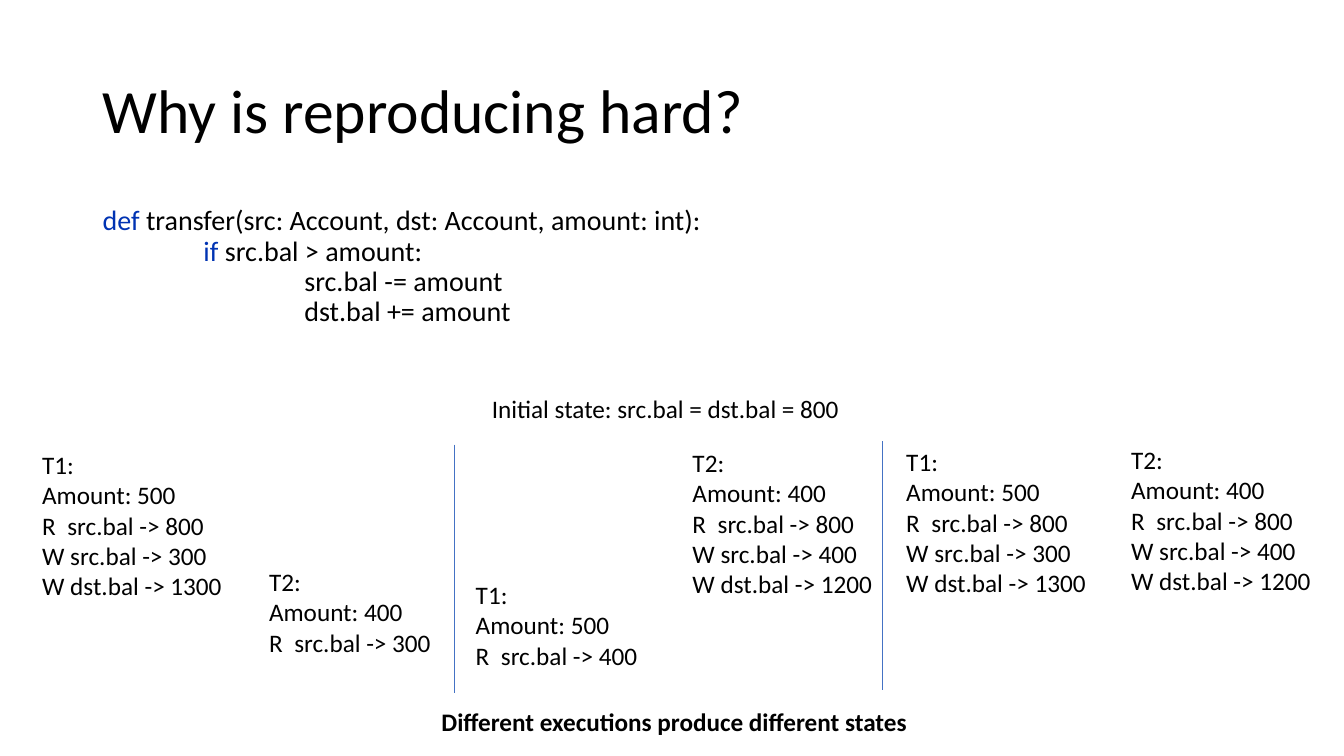
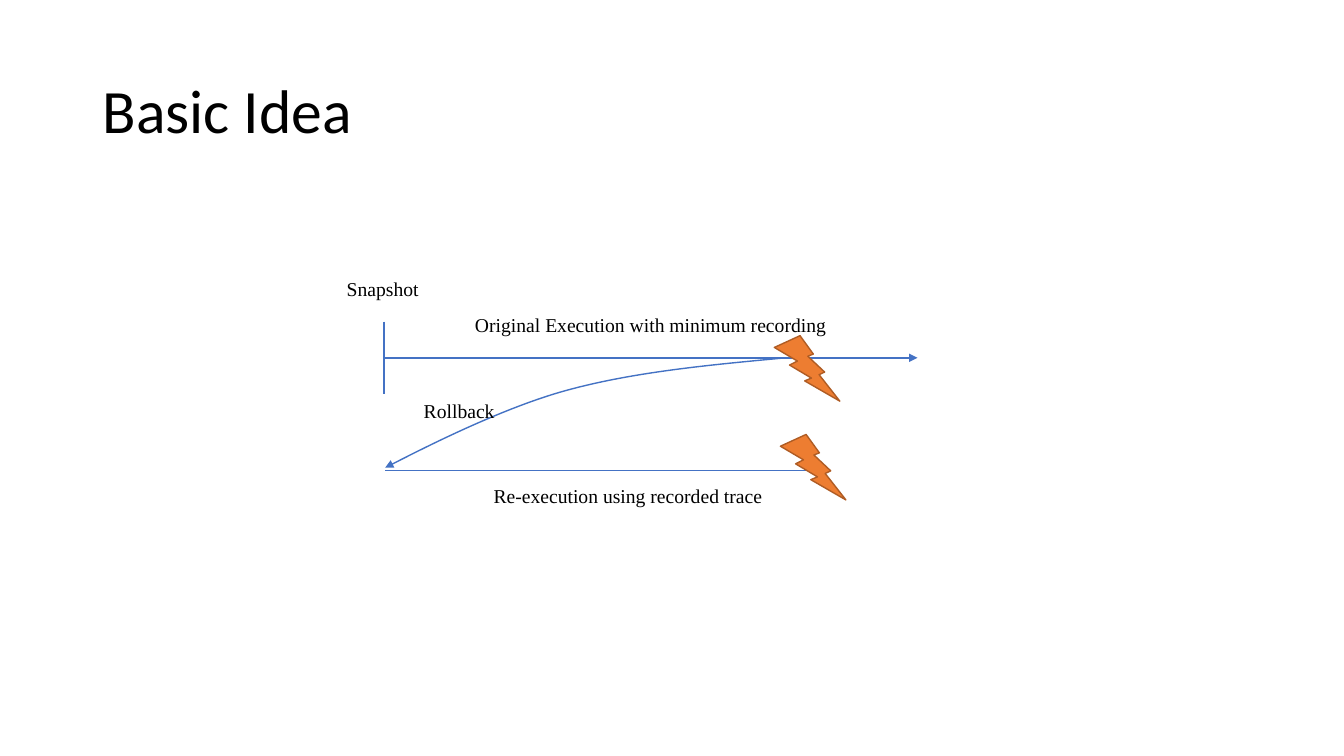
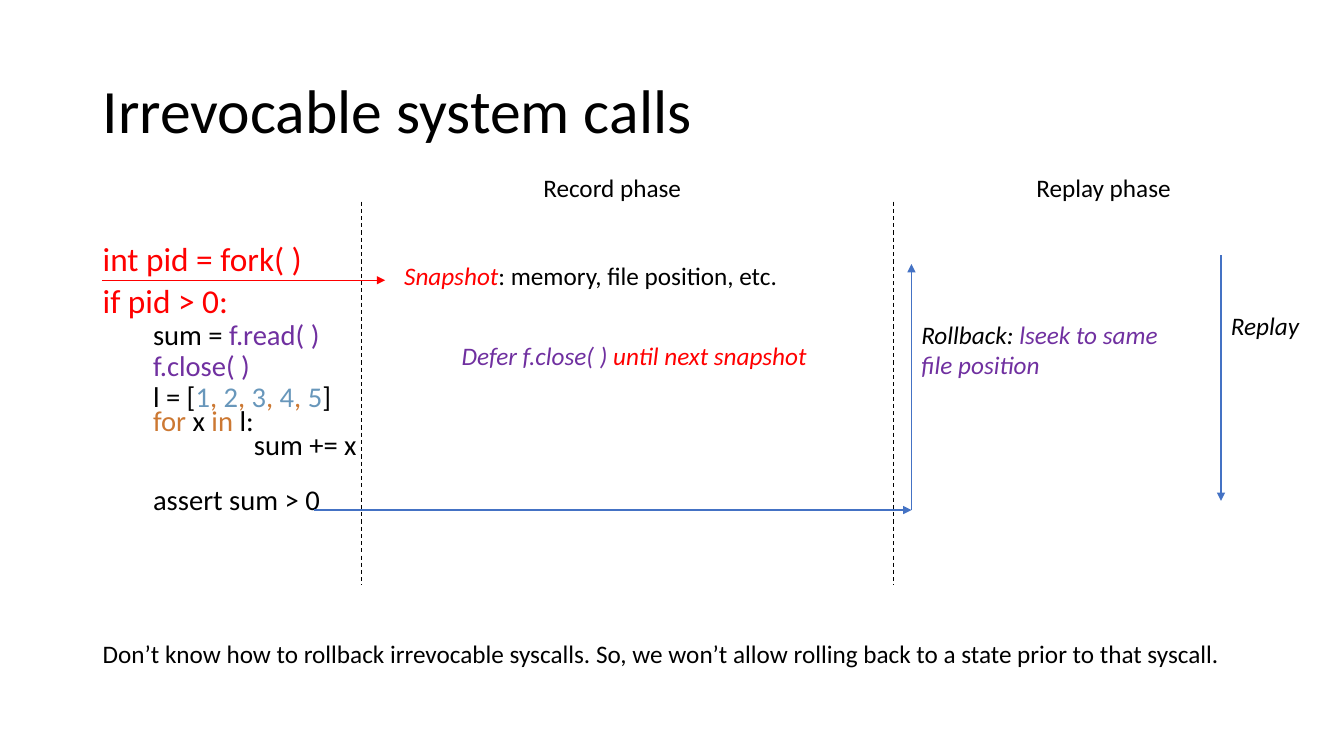
from lxml import etree
from pptx import Presentation
from pptx.dml.color import RGBColor
from pptx.enum.dml import MSO_LINE
from pptx.enum.shapes import MSO_CONNECTOR, MSO_SHAPE
from pptx.enum.text import MSO_ANCHOR, PP_ALIGN
from pptx.oxml.ns import qn
from pptx.util import Pt

PX = 9144
BLANK = 6
STRAIGHT = MSO_CONNECTOR.STRAIGHT
BOLT = MSO_SHAPE.LIGHTNING_BOLT
DASH = MSO_LINE.DASH
TOP, MIDDLE = MSO_ANCHOR.TOP, MSO_ANCHOR.MIDDLE
LEFT, CENTER = PP_ALIGN.LEFT, PP_ALIGN.CENTER

BLACK = RGBColor(0x00, 0x00, 0x00)
BLUE = RGBColor(0x44, 0x72, 0xC4)
RED = RGBColor(0xFF, 0x00, 0x00)
PURPLE = RGBColor(0x70, 0x30, 0xA0)
ORANGE = RGBColor(0xED, 0x7D, 0x31)
BROWN = RGBColor(0xAF, 0x5C, 0x24)
KEYWORD_BLUE = RGBColor(0x00, 0x33, 0xB3)
KEYWORD_ORANGE = RGBColor(0xCC, 0x78, 0x32)
NUMBER_BLUE = RGBColor(0x68, 0x97, 0xBB)

SANS, SERIF = "Calibri", "Times New Roman"
TITLE_BOX = (92, 40, 1150, 145)
TEXT_DEFAULTS = dict(
    font=SANS, size=18, color=BLACK, bold=False, italic=False, align=LEFT,
    anchor=TOP, wrap=False, insets=(10, 5, 10, 5), spacing=1.0, before=0,
    indent=0, tab=0,
)

TRANSFER_CODE = [
    [("def ", {"color": KEYWORD_BLUE}), "transfer(src: Account, dst: Account, amount: int):"],
    {"spans": [("if ", {"color": KEYWORD_BLUE}), "src.bal > amount:"], "indent": 100},
    {"spans": ["src.bal -= amount"], "indent": 200},
    {"spans": ["dst.bal += amount"], "indent": 200},
]
INITIAL_BALANCE = 800
AMOUNTS = {"T1": 500, "T2": 400}
THREAD_RUNS = [
    ("T1", 800, 32, 441),
    ("T2", 300, 257, 557),
    ("T1", 400, 462, 570),
    ("T2", 800, 677, 439),
    ("T1", 800, 889, 438),
    ("T2", 800, 1112, 436),
]
RUN_DIVIDERS = [(451, 441), (875, 438)]
RUN_CAPTIONS = [
    ("Initial state: src.bal = dst.bal = 800", (478, 385, 377, 40), False),
    ("Different executions produce different states", (428, 696, 487, 40), True),
]

TIMELINE_LABELS = [
    ("Snapshot", (297, 253, 165, 67), (0, 0, 0, 0)),
    ("Original Execution with minimum recording", (381, 296, 529, 56), (0, 2, 0, 5)),
    ("Rollback", (359, 382, 193, 53), (0, 2, 0, 5)),
    ("Re-execution using recorded trace", (446, 465, 354, 56), (0, 2, 0, 5)),
]
TIMELINE_LINES = [
    ((381, 355), (910, 355), True),
    ((382, 467), (823, 467), True),
    ((381, 319), (381, 391), False),
]
ROLLBACK_CURVE = [(779, 355), (704, 362), (629, 369), (563, 387),
                  (496, 405), (382, 464), (382, 464)]
BOLT_SIZE = 65
BOLTS = [(768, 333), (774, 431)]

BIG, SMALL = 23.8, 20.4
LIST_SPANS = ["l = ["]
for number in range(1, 6):
    if number > 1:
        LIST_SPANS.append((", ", {"color": KEYWORD_ORANGE}))
    LIST_SPANS.append((str(number), {"color": NUMBER_BLUE}))
LIST_SPANS.append("]")
FORK_CODE = [
    {"spans": ["int pid = fork( )"], "size": BIG, "color": RED},
    {"spans": ["if pid > 0:"], "size": BIG, "color": RED, "before": 10},
    {"spans": ["sum = ", ("f.read( )", {"color": PURPLE})], "indent": 50, "before": 5},
    {"spans": ["f.close( )"], "color": PURPLE, "indent": 50, "before": 5},
    {"spans": LIST_SPANS, "indent": 50, "before": 5},
    {"spans": [("for ", {"color": KEYWORD_ORANGE}), "x ",
               ("in ", {"color": KEYWORD_ORANGE}), "l:"], "indent": 50},
    {"spans": ["sum += x"], "indent": 150},
    {"spans": ["assert sum > 0"], "indent": 50, "before": 22.4},
]
PHASE_NOTES = [
    (["Record phase"], (529, 166, 159, 40)),
    (["Replay phase"], (1018, 166, 155, 40)),
    ([[("Snapshot", {"color": RED, "italic": True}), ": memory, file position, etc."]],
     (391, 253, 395, 40)),
    ([{"spans": ["Rollback: ", ("lseek to same", {"color": PURPLE})], "italic": True},
      {"spans": ["file position"], "color": PURPLE, "italic": True}], (904, 312, 257, 71)),
    ([{"spans": [("Defer f.close( )", {"color": PURPLE}), " until next snapshot"],
       "color": RED, "italic": True}], (448, 333, 366, 40)),
    ([{"spans": ["Replay"], "italic": True}], (1211, 303, 88, 40)),
    (["Don’t know how to rollback irrevocable syscalls. So, we won’t allow "
      "rolling back to a state prior to that syscall."], (92, 628, 1140, 40)),
]
PHASE_ARROWS = [
    ((101, 278), (382, 278), RED),
    ((311, 506), (904, 506), BLUE),
    ((904, 506), (904, 262), BLUE),
    ((1211, 253), (1211, 497), BLUE),
]
PHASE_DIVIDERS = [359, 886]


def emu(*lengths):
    return [round(length * PX) for length in lengths]


def add_text(slide, place, paragraphs, **options):
    base = TEXT_DEFAULTS | options
    box = slide.shapes.add_textbox(*emu(*place))
    frame = box.text_frame
    frame.word_wrap = base["wrap"]
    frame.vertical_anchor = base["anchor"]
    (frame.margin_left, frame.margin_top,
     frame.margin_right, frame.margin_bottom) = emu(*base["insets"])
    for index, content in enumerate(paragraphs):
        if isinstance(content, str):
            content = [content]
        if isinstance(content, list):
            content = {"spans": content}
        style = base | content
        para = frame.add_paragraph() if index else frame.paragraphs[0]
        para.alignment = style["align"]
        para.line_spacing = style["spacing"]
        para.space_before = Pt(style["before"])
        properties = para._p.get_or_add_pPr()
        properties.set("marL", str(style["indent"] * PX))
        if style["tab"]:
            stops = etree.SubElement(properties, qn("a:tabLst"))
            etree.SubElement(stops, qn("a:tab"), pos=str(style["tab"] * PX), algn="l")
        for span in content["spans"]:
            words, changes = (span, {}) if isinstance(span, str) else span
            look = style | changes
            run = para.add_run()
            run.text = words
            run.font.name = look["font"]
            run.font.size = Pt(look["size"])
            run.font.bold = look["bold"]
            run.font.italic = look["italic"]
            run.font.color.rgb = look["color"]


def style_line(shape, color, width=1, arrow=False, dash=None):
    shape.line.color.rgb = color
    shape.line.width = Pt(width)
    if dash:
        shape.line.dash_style = dash
    if arrow:
        outline = shape._element.spPr.find(qn("a:ln"))
        etree.SubElement(outline, qn("a:tailEnd"), type="triangle")


def add_line(slide, start, end, color=BLUE, **options):
    line = slide.shapes.add_connector(STRAIGHT, *emu(*start, *end))
    style_line(line, color, **options)
    etree.SubElement(line._element.spPr, qn("a:effectLst"))


def add_curve(slide, points, color):
    builder = slide.shapes.build_freeform(*points[0], scale=PX)
    builder.add_line_segments(points[1:], close=False)
    curve = builder.convert_to_shape()
    curve.shadow.inherit = False
    curve.fill.background()
    style_line(curve, color, arrow=True)
    outline = next(curve._element.iter(qn("a:path")))
    segments = outline.findall(qn("a:lnTo"))
    for first in range(0, len(segments), 3):
        bend = etree.SubElement(outline, qn("a:cubicBezTo"))
        for segment in segments[first:first + 3]:
            bend.append(segment[0])
            outline.remove(segment)


def add_bolt(slide, left, top):
    bolt = slide.shapes.add_shape(BOLT, *emu(left, top, BOLT_SIZE, BOLT_SIZE))
    bolt.shadow.inherit = False
    bolt.fill.solid()
    bolt.fill.fore_color.rgb = ORANGE
    style_line(bolt, BROWN)


def add_page(deck, title):
    page = deck.slides.add_slide(deck.slide_layouts[BLANK])
    add_text(page, TITLE_BOX, [title], size=44, anchor=MIDDLE, wrap=True, spacing=0.9)
    return page


def trace(thread, balance):
    amount = AMOUNTS[thread]
    lines = [f"{thread}:", f"Amount: {amount}", f"R\tsrc.bal -> {balance}"]
    if balance > amount:
        lines += [f"W src.bal -> {balance - amount}",
                  f"W dst.bal -> {INITIAL_BALANCE + amount}"]
    return lines


def build_reproducing(deck):
    page = add_page(deck, "Why is reproducing hard?")
    add_text(page, (92, 200, 630, 205), TRANSFER_CODE, size=20, wrap=True, spacing=0.9)
    for thread, balance, left, top in THREAD_RUNS:
        lines = trace(thread, balance)
        width, height = (200, 162) if len(lines) == 5 else (182, 101)
        add_text(page, (left, top, width, height), lines, tab=25)
    for left, top in RUN_DIVIDERS:
        add_line(page, (left, top), (left, top + 247))
    for words, place, bold in RUN_CAPTIONS:
        add_text(page, place, [words], bold=bold)


def build_idea(deck):
    page = add_page(deck, "Basic Idea")
    for start, end, arrow in TIMELINE_LINES:
        add_line(page, start, end, arrow=arrow)
    add_curve(page, ROLLBACK_CURVE, BLUE)
    for words, place, insets in TIMELINE_LABELS:
        add_text(page, place, [words], font=SERIF, size=14, align=CENTER,
                 anchor=MIDDLE, wrap=True, insets=insets)
    for left, top in BOLTS:
        add_bolt(page, left, top)


def build_system_calls(deck):
    page = add_page(deck, "Irrevocable system calls")
    add_text(page, (92, 242, 306, 299), FORK_CODE, size=SMALL, wrap=True, spacing=0.7)
    for start, end, color in PHASE_ARROWS:
        add_line(page, start, end, color, arrow=True)
    for left in PHASE_DIVIDERS:
        add_line(page, (left, 200), (left, 580), BLACK, width=0.75, dash=DASH)
    for paragraphs, place in PHASE_NOTES:
        add_text(page, place, paragraphs)


def main():
    deck = Presentation()
    deck.slide_width, deck.slide_height = emu(1333, 750)
    build_reproducing(deck)
    build_idea(deck)
    build_system_calls(deck)
    deck.save("out.pptx")


if __name__ == "__main__":
    main()
